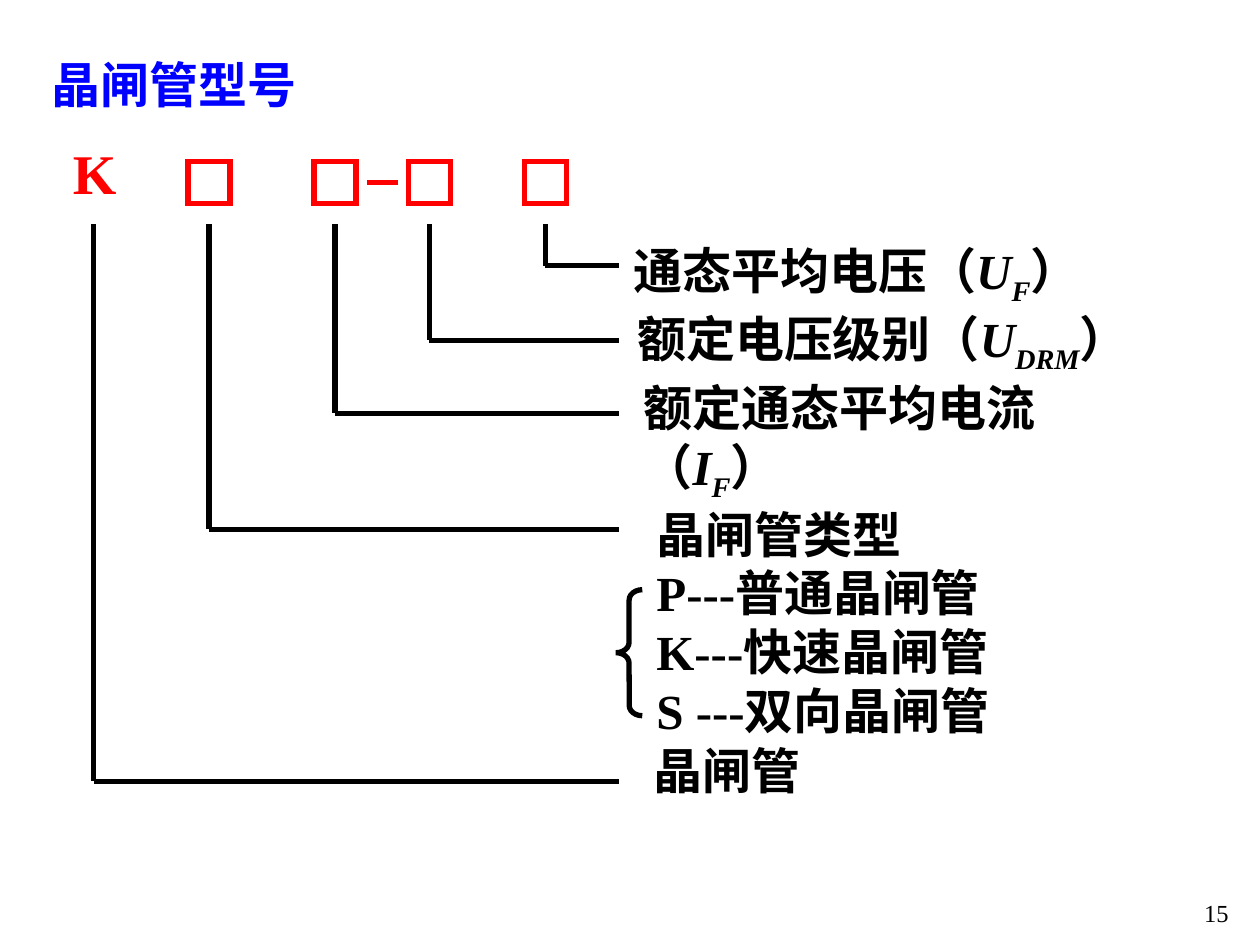
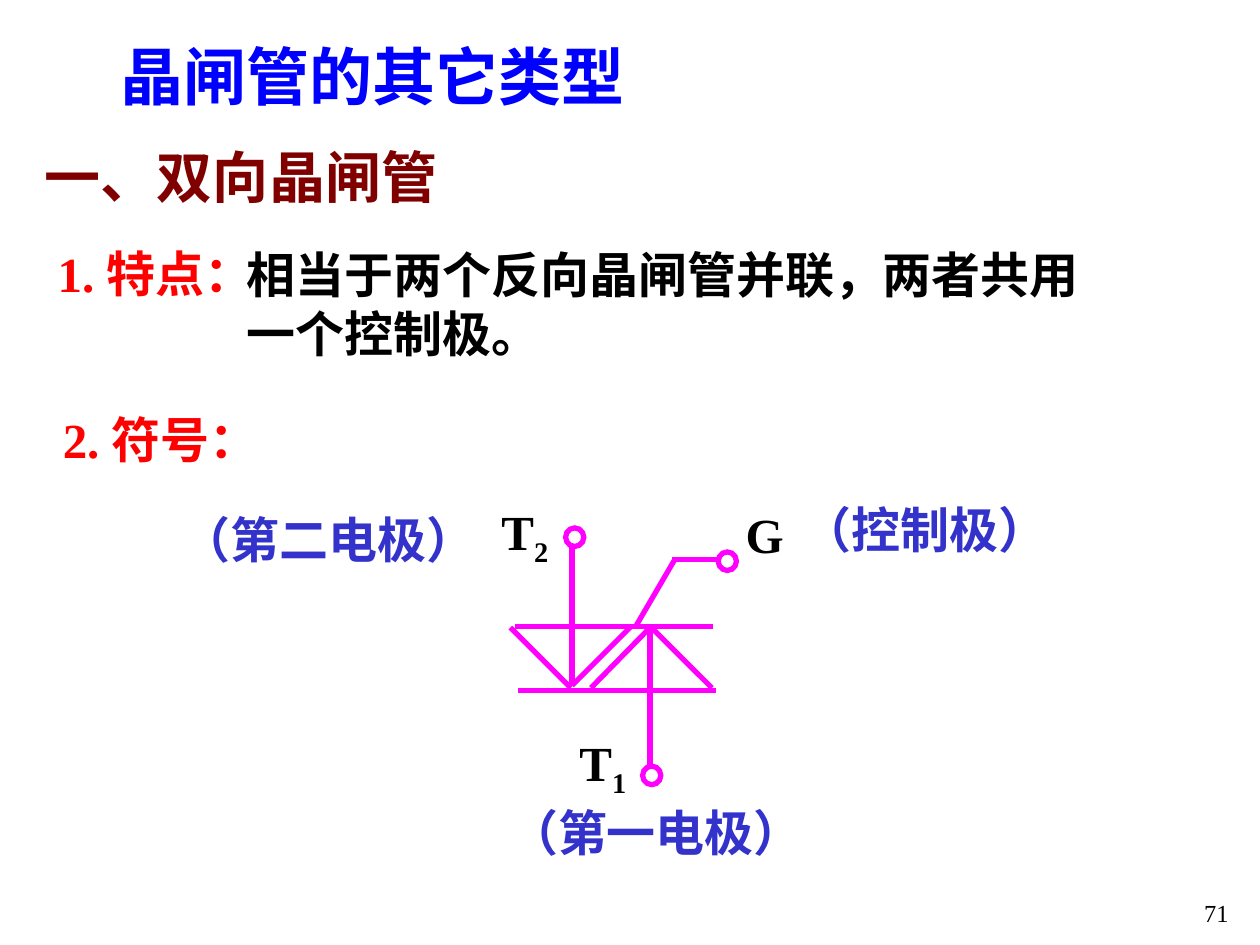
from lxml import etree
from pptx import Presentation
from pptx.dml.color import RGBColor
from pptx.enum.shapes import MSO_CONNECTOR, MSO_SHAPE
from pptx.enum.text import MSO_ANCHOR, MSO_AUTO_SIZE, PP_ALIGN
from pptx.oxml.ns import qn
from pptx.util import Pt

STRAIGHT = MSO_CONNECTOR.STRAIGHT
SQUARE, CIRCLE, BRACE = MSO_SHAPE.RECTANGLE, MSO_SHAPE.OVAL, MSO_SHAPE.LEFT_BRACE
TOP, MIDDLE = MSO_ANCHOR.TOP, MSO_ANCHOR.MIDDLE
LEFT, CENTER, RIGHT = PP_ALIGN.LEFT, PP_ALIGN.CENTER, PP_ALIGN.RIGHT
FIT = MSO_AUTO_SIZE.SHAPE_TO_FIT_TEXT
FONT = "Times New Roman"
BLACK, BLUE, RED = "000000", "0000FF", "FF0000"
MAROON, INDIGO, MAGENTA = "800000", "3333CC", "FF00FF"
color = RGBColor.from_string


def write(box, place, lines, size=28, ink=BLACK, align=LEFT, anchor=TOP, bold=True):
    box.left, box.top, box.width, box.height = map(Pt, place)
    frame = box.text_frame
    frame_format = {
        "margin_left": Pt(7.2), "margin_right": Pt(7.2),
        "margin_top": Pt(3.6), "margin_bottom": Pt(3.6),
        "word_wrap": True, "auto_size": FIT, "vertical_anchor": anchor,
    }
    for name, value in frame_format.items():
        setattr(frame, name, value)
    for index, line in enumerate(lines):
        para = frame.add_paragraph() if index else frame.paragraphs[0]
        if box.is_placeholder:
            properties = para._p.get_or_add_pPr()
            properties.set("marL", "0")
            properties.set("indent", "0")
            etree.SubElement(properties, qn("a:buNone"))
            para.space_before = Pt(0)
        para.alignment = align
        for text, style in [(line, "")] if isinstance(line, str) else line:
            span = para.add_run()
            span.text = text
            span_format = {"name": FONT, "size": Pt(size), "bold": bold, "italic": "italic" in style}
            for name, value in span_format.items():
                setattr(span.font, name, value)
            span.font.color.rgb = color(ink)
            if "sub" in style:
                span._r.get_or_add_rPr().set("baseline", "-25000")


def outline(shape, ink, width=3):
    shape.line.color.rgb = color(ink)
    shape.line.width = Pt(width)
    properties = shape._element.spPr
    etree.SubElement(properties.find(qn("a:ln")), qn("a:miter")).set("lim", "800000")
    etree.SubElement(properties, qn("a:effectLst"))


deck = Presentation()
deck.slide_width, deck.slide_height = Pt(720), Pt(540)
pages = []
for number in ("15", "71"):
    page = deck.slides.add_slide(deck.slide_layouts[1])
    write(page.shapes.add_textbox(0, 0, 0, 0), (559.4, 509.8, 149.8, 36), [number],
          size=14, align=RIGHT, bold=False)
    pages.append(page)
model_page, triac_page = pages

write(model_page.shapes.title, (22.3, 27.4, 160, 41), ["晶闸管型号"], ink=BLUE)
write(model_page.placeholders[1], (367.9, 284.4, 220, 141.8),
      ["晶闸管类型", "P---普通晶闸管", "K---快速晶闸管", "S ---双向晶闸管"])

voltage, current = ("U", "italic"), ("I", "italic")
close = ("）", "")
model_labels = [
    ((355, 133.9, 306, 45.4), [[("通态平均电压（", ""), voltage, ("F", "italic sub"), close]]),
    ((357.1, 172.8, 332, 45.4), [[("额定电压级别（", ""), voltage, ("DRM", "italic sub"), close]]),
    ((360.7, 212.4, 244, 79.2),
     ["额定通态平均电流", [("（", ""), current, ("F", "italic sub"), close]]),
    ((366.5, 419.8, 104, 41), ["晶闸管"]),
]
for place, lines in model_labels:
    write(model_page.shapes.add_textbox(0, 0, 0, 0), place, lines)
write(model_page.shapes.add_textbox(0, 0, 0, 0), (34.6, 75.6, 42, 46), ["K"], size=32, ink=RED)

lead_top, lead_end, square_side = 128.2, 353.5, 24
leads = [(53.5, 446.4), (119.5, 302.4), (191.4, 236.2), (245.4, 194.4), (311.6, 151.9)]
model_lines = [(209.5, 104.4, 227.5, 104.4, RED, 3), (191.4, 122.4, 191.4, 122.4, BLACK, 0.75)]
for x, y in leads:
    model_lines += [(x, lead_top, x, y, BLACK, 3), (x, y, lead_end, y, BLACK, 3)]
for *ends, ink, width in model_lines:
    outline(model_page.shapes.add_connector(STRAIGHT, *map(Pt, ends)), ink, width)
for x, y in leads[1:]:
    square = model_page.shapes.add_shape(
        SQUARE, Pt(x - square_side / 2), Pt(92.2), Pt(square_side), Pt(square_side))
    square.fill.background()
    outline(square, RED)
brace = model_page.shapes.add_shape(BRACE, Pt(352), Pt(337), Pt(15), Pt(72))
brace.adjustments[0] = 0.4
brace.fill.background()
outline(brace, BLACK)

write(triac_page.shapes.title, (58.9, 18, 308.4, 50.4), ["晶闸管的其它类型"],
      size=36, ink=BLUE, align=CENTER, anchor=MIDDLE)
write(triac_page.placeholders[1], (133.9, 136.1, 491, 74.9),
      ["相当于两个反向晶闸管并联，两者共用一个控制极。"], anchor=MIDDLE)

triac_labels = [
    ((15.7, 77.8, 244.3, 46), "一、双向晶闸管", 32, MAROON, CENTER),
    ((25.9, 135.4, 138, 41), "1. 特点：", 28, RED, LEFT),
    ((28.8, 230.4, 138, 41), "2. 符号：", 28, RED, LEFT),
    ((321, 414.7, 47, 45.4), [("T", ""), ("1", "sub")], 28, BLACK, CENTER),
    ((276.4, 283, 47, 45.4), [("T", ""), ("2", "sub")], 28, BLACK, CENTER),
    ((416, 284.4, 42, 41), "G", 28, BLACK, CENTER),
    ((448.4, 281.5, 160, 41), "（控制极）", 28, INDIGO, CENTER),
    ((280.7, 455, 188.2, 41), "（第一电极）", 28, INDIGO, CENTER),
    ((93.5, 287.3, 188.2, 41), "（第二电极）", 28, INDIGO, CENTER),
]
for place, line, size, ink, align in triac_labels:
    write(triac_page.shapes.add_textbox(0, 0, 0, 0), place, [line], size, ink, align, MIDDLE)

upper, lower = 357.9, 394.6
triac_lines = [
    (294.5, upper, 407.5, upper),
    (295.9, lower, 409, lower),
    (291.6, 358.6, 326.2, 393.1),
    (326.9, 306.7, 326.9, 391.7),
    (360.7, upper, 326.9, 391.7),
    (370.8, 359.3, 337.7, 393.1),
    (371.5, upper, 371.5, 443.5),
    (372.2, 358.6, 406.8, 393.1),
    (362.9, 358.6, 385.2, 320.4),
    (383.8, 319.7, 413.3, 319.7),
]
for ends in triac_lines:
    outline(triac_page.shapes.add_connector(STRAIGHT, *map(Pt, ends)), MAGENTA)
for x, y in [(367.2, 437.8), (410.4, 315.4), (323.2, 301.7)]:
    terminal = triac_page.shapes.add_shape(CIRCLE, Pt(x), Pt(y), Pt(10.4), Pt(10.6))
    terminal.fill.solid()
    terminal.fill.fore_color.rgb = color("FFFFFF")
    outline(terminal, MAGENTA)

deck.save("out.pptx")
